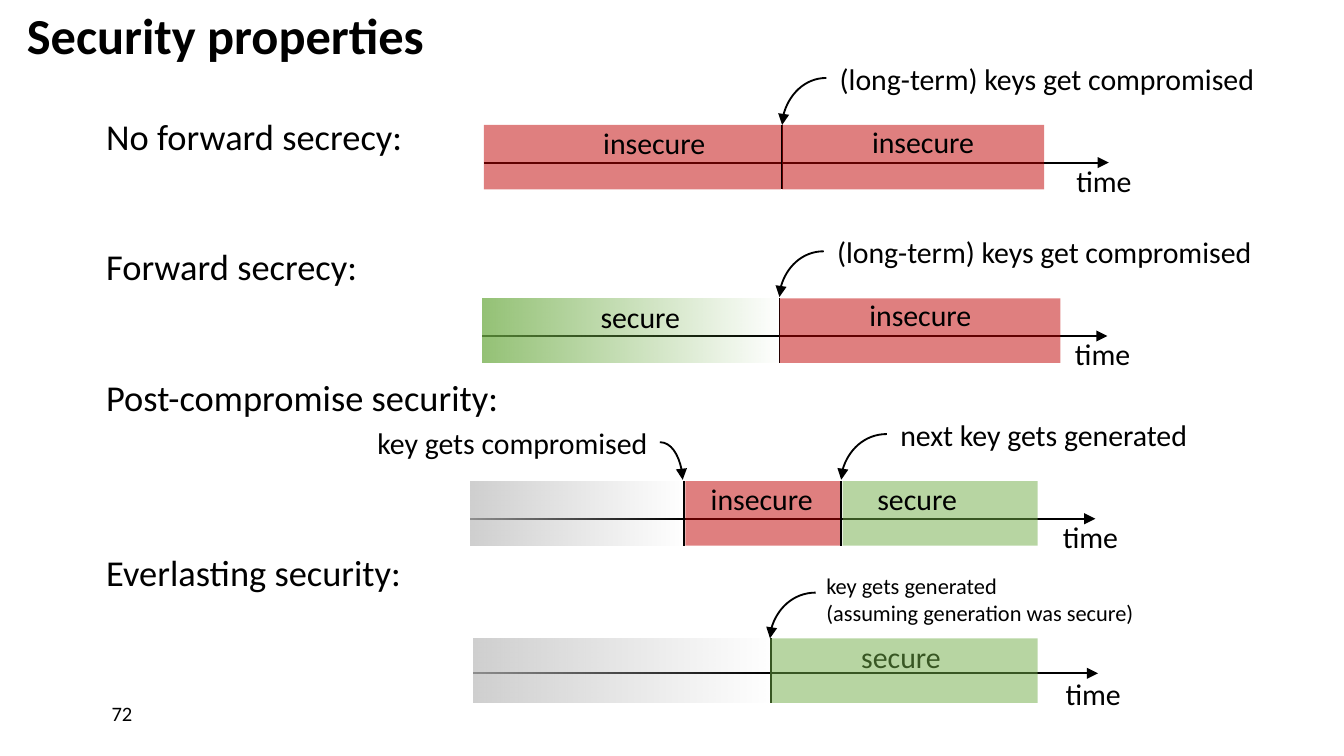
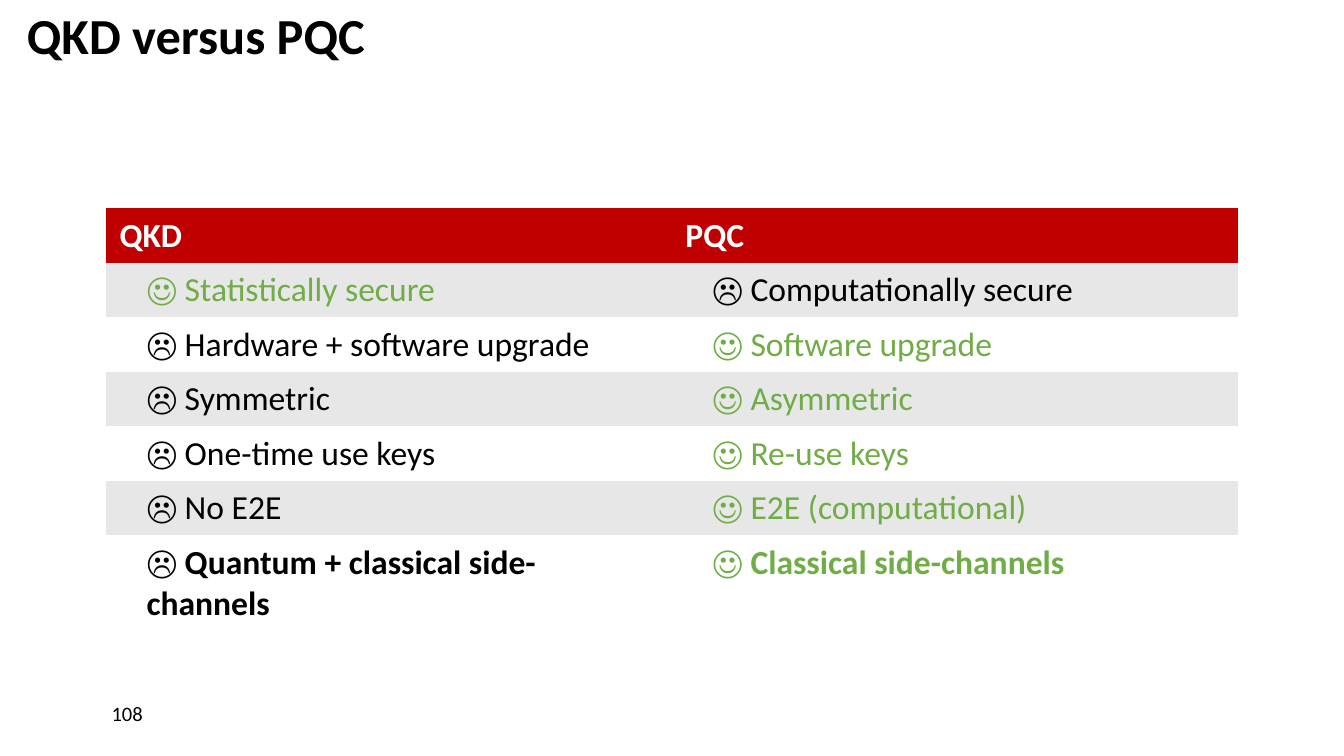
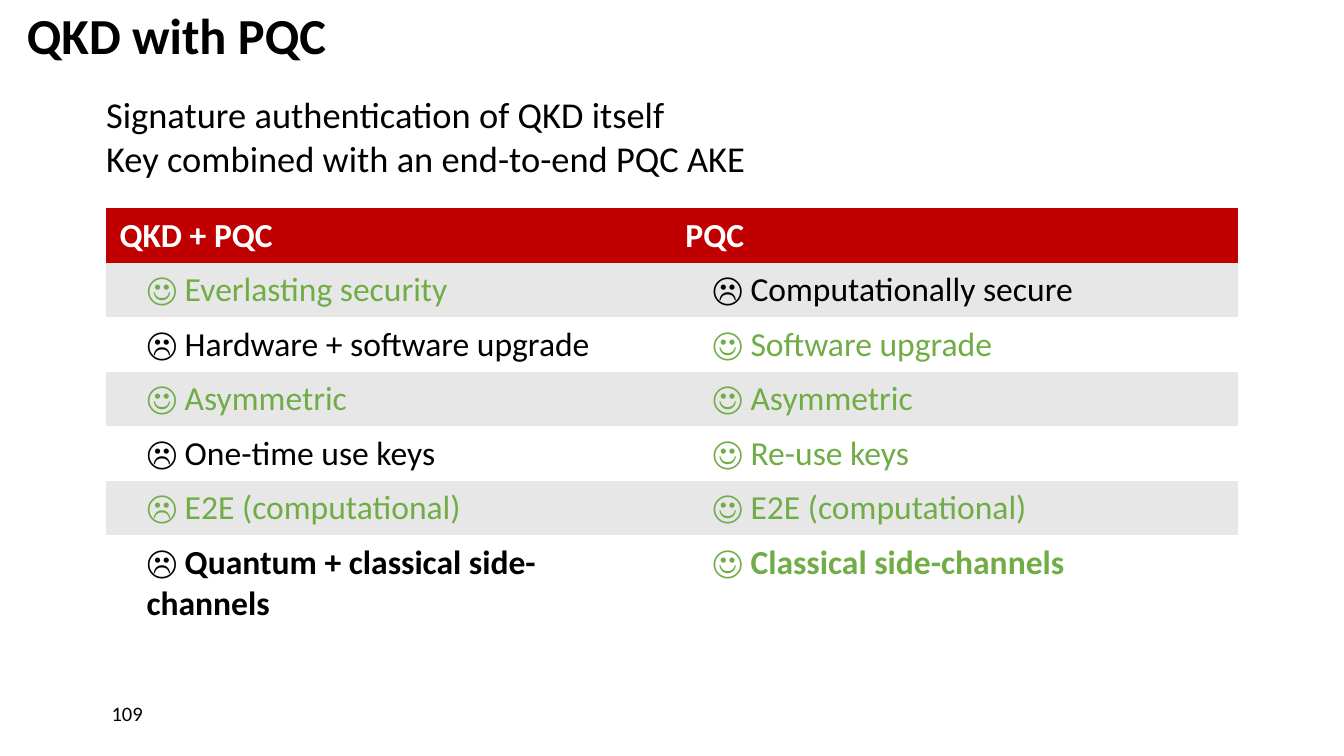
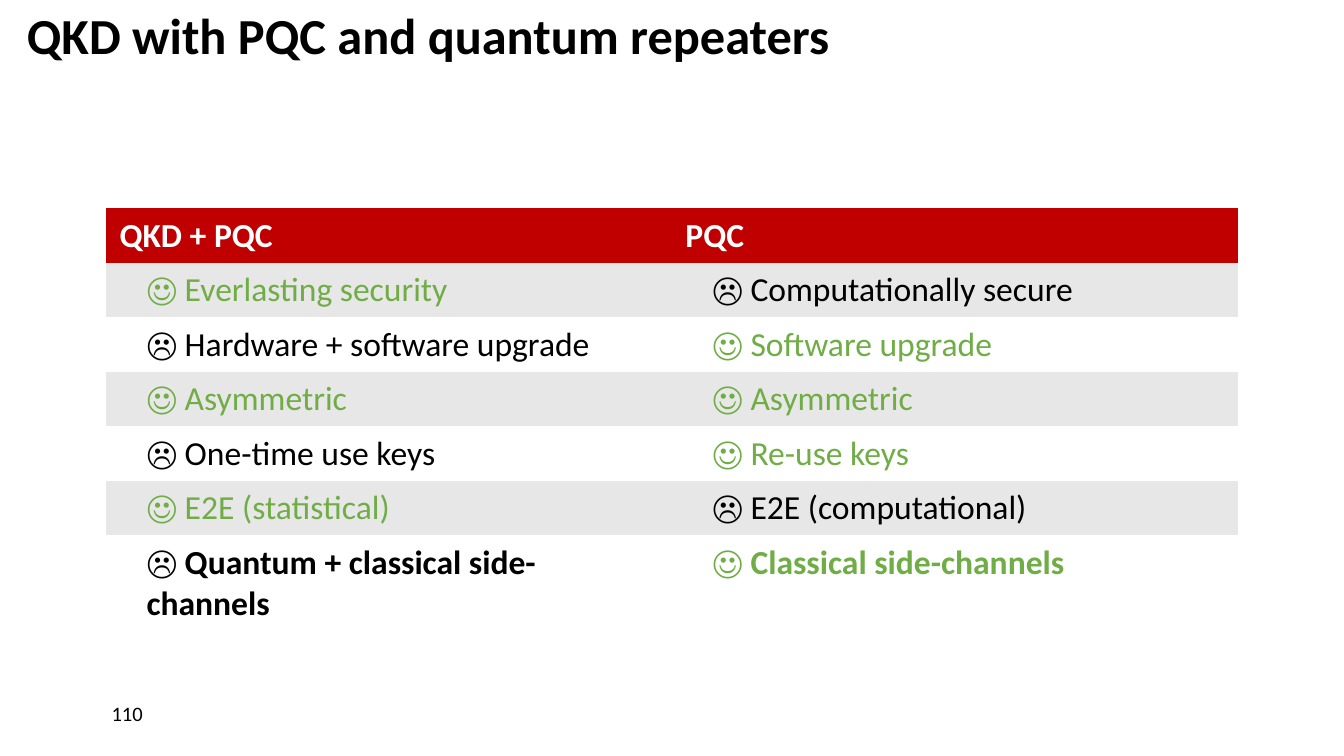
from pptx import Presentation
from pptx.dml.color import RGBColor
from pptx.enum.shapes import MSO_CONNECTOR, MSO_SHAPE
from pptx.enum.text import MSO_ANCHOR, MSO_AUTO_SIZE, PP_ALIGN
from pptx.oxml.ns import qn
from pptx.util import Inches, Pt
from lxml import etree

STRAIGHT, CURVE = MSO_CONNECTOR.STRAIGHT, MSO_CONNECTOR.CURVE
RECTANGLE = MSO_SHAPE.RECTANGLE
MIDDLE, LEFT = MSO_ANCHOR.MIDDLE, PP_ALIGN.LEFT
NO_FIT, GROW = MSO_AUTO_SIZE.NONE, MSO_AUTO_SIZE.SHAPE_TO_FIT_TEXT

FONT = "Calibri"
COLORS = {name: RGBColor.from_string(value) for name, value in {
    "black": "000000", "white": "FFFFFF", "red": "C00000",
    "green": "70AD47", "gray": "BFBFBF", "stripe": "E7E7E7",
}.items()}
PLAIN_TABLE_STYLE = "{2D5ABB26-0587-4C30-8999-92F81FD0307C}"


def write(frame, text, size, color="black", bold=False, insets=None):
    """Fill a text frame or cell frame; insets are left, top, right, bottom."""
    frame.text = text
    if insets:
        (frame.margin_left, frame.margin_top,
         frame.margin_right, frame.margin_bottom) = map(Inches, insets)
    for para in frame.paragraphs:
        para.alignment = LEFT
        para.font.size = Pt(size)
        for span in para.runs:
            span.font.name = FONT
            span.font.size = Pt(size)
            span.font.bold = bold
            span.font.color.rgb = COLORS[color]


def add_line(page, points, kind=STRAIGHT, arrow=False):
    line = page.shapes.add_connector(kind, *map(Inches, points))
    line.line.color.rgb = COLORS["black"]
    line.line.width = Pt(1)
    properties = line._element.spPr
    if kind == CURVE:
        properties.find(qn("a:prstGeom")).set("prst", "curvedConnector2")
    if arrow:
        etree.SubElement(properties.find(qn("a:ln")), qn("a:tailEnd"), type="triangle")
    etree.SubElement(properties, qn("a:effectLst"))


deck = Presentation()
deck.slide_width, deck.slide_height = Inches(10), Inches(10 * 9 / 16)

# Title and page number of every slide
pages = []
for title_text, number in [
    ("Security properties", "72"),
    ("QKD versus PQC", "108"),
    ("QKD with PQC", "109"),
    ("QKD with PQC and quantum repeaters", "110"),
]:
    page = deck.slides.add_slide(deck.slide_layouts[5])
    pages.append(page)
    title = page.shapes.title
    title.left, title.top = Inches(0), Inches(0)
    title.width, title.height = Inches(10), Inches(0.59)
    title.text_frame.auto_size = NO_FIT
    title.text_frame.vertical_anchor = MIDDLE
    write(title.text_frame, title_text, 27, bold=True, insets=(0.2, 0, 0, 0))
    title.text_frame.paragraphs[0].line_spacing = Pt(27)

    footer = page.shapes.add_shape(RECTANGLE, Inches(0), Inches(5), Inches(8.92), Inches(0.62))
    footer.shadow.inherit = False
    footer.fill.solid()
    footer.fill.fore_color.rgb = COLORS["white"]
    footer.line.fill.background()
    footer.text_frame.vertical_anchor = MIDDLE
    write(footer.text_frame, number, 11, insets=(0.83, 0, 0, 0))

# Security properties: headings with a timeline each
page = pages[0]
headings = page.shapes.add_textbox(Inches(0), Inches(0.59), Inches(10), Inches(4.4))
headings.text_frame.word_wrap = True
write(headings.text_frame,
      "No forward secrecy:\nForward secrecy:\nPost-compromise security:\nEverlasting security:",
      19.5, insets=(0.79, 0.26, 0.39, 0))
for para, gap in zip(headings.text_frame.paragraphs, (0, 46.4, 46.7, 70.2)):
    para.space_before = Pt(gap)

AXIS_LENGTH = 4.65
BAND_HEIGHT = 0.48
# bands: left, width, color, fading; labels: text, left, top, width
timelines = [
    {"left": 3.6, "band_top": 0.93, "axis_y": 1.21, "ticks": [5.82],
     "bands": [(3.6, 2.21, "red", False), (5.82, 1.95, "red", False)],
     "labels": [("insecure", 4.39, 0.88, 0.97), ("insecure", 6.39, 0.87, 0.97),
                ("(long-term) keys get compromised", 6.15, 0.4, 3.33)],
     "curves": [(6.15, 0.58, 5.82, 0.93)]},
    {"left": 3.59, "band_top": 2.22, "axis_y": 2.5, "ticks": [5.8],
     "bands": [(3.59, 2.21, "green", True), (5.8, 2.09, "red", False)],
     "labels": [("secure", 4.37, 2.17, 0.8), ("insecure", 6.37, 2.16, 0.97),
                ("(long-term) keys get compromised", 6.13, 1.69, 3.33)],
     "curves": [(6.13, 1.87, 5.8, 2.21)]},
    {"left": 3.5, "band_top": 3.58, "axis_y": 3.86, "ticks": [5.09, 6.26],
     "bands": [(3.5, 1.58, "gray", True), (5.1, 1.15, "red", False),
               (6.27, 1.45, "green", False)],
     "labels": [("insecure", 5.19, 3.53, 0.97), ("secure", 6.43, 3.53, 0.8),
                ("key gets compromised", 2.71, 3.11, 2.22),
                ("next key gets generated", 6.6, 3.05, 2.48)],
     "curves": [(4.91, 3.29, 5.08, 3.57), (6.6, 3.23, 6.26, 3.57)]},
    {"left": 3.52, "band_top": 4.75, "axis_y": 5.01, "ticks": [5.74],
     "bands": [(3.52, 2.21, "gray", True), (5.73, 1.99, "green", False)],
     "labels": [("secure", 6.31, 4.7, 0.8)],
     "curves": [(6.07, 4.41, 5.73, 4.75)]},
]
for timeline in timelines:
    left, band_top = timeline["left"], timeline["band_top"]
    axis_y = timeline["axis_y"]
    add_line(page, (left, axis_y, left + AXIS_LENGTH, axis_y), arrow=True)
    for x in timeline["ticks"]:
        add_line(page, (x, band_top, x, band_top + BAND_HEIGHT))
    for points in timeline["curves"]:
        add_line(page, points, CURVE, arrow=True)

    bands = []
    for band_left, width, color, fading in timeline["bands"]:
        band = page.shapes.add_shape(RECTANGLE, Inches(band_left), Inches(band_top),
                                     Inches(width), Inches(BAND_HEIGHT))
        bands.append(band)
        band.shadow.inherit = False
        if fading:
            band.fill.gradient()
            band.fill.gradient_angle = 180
            for stop in band.fill.gradient_stops:
                stop.color.rgb = COLORS[color]
        else:
            band.fill.solid()
            band.fill.fore_color.rgb = COLORS[color]
        opacities = ("0", "75000") if fading else ("50000",)
        for tint, opacity in zip(band._element.spPr.iter(qn("a:srgbClr")), opacities):
            etree.SubElement(tint, qn("a:alpha"), val=opacity)
        band.line.fill.background()

    time_label = ("time", left + 4.31, band_top + 0.23, 0.62)
    for text, label_left, top, width in timeline["labels"] + [time_label]:
        box = page.shapes.add_textbox(Inches(label_left), Inches(top), Inches(width), Inches(0.37))
        box.text_frame.word_wrap = False
        box.text_frame.auto_size = GROW
        write(box.text_frame, text, 16)

# The bands of the last timeline tint its label
for band in bands:
    page.shapes._spTree.append(band._element)

note = page.shapes.add_textbox(Inches(6.05), Inches(4.21), Inches(2.87), Inches(0.5))
note.text_frame.word_wrap = True
note.text_frame.auto_size = GROW
write(note.text_frame, "key gets generated\v(assuming generation was secure)", 12)

# Comparison tables
qkd = ["QKD", "☺ Statistically secure", "☹ Hardware + software upgrade", "☹ Symmetric",
       "☹ One-time use keys", "☹ No E2E", "☹ Quantum + classical side-channels"]
pqc = ["PQC", "☹ Computationally secure", "☺ Software upgrade", "☺ Asymmetric",
       "☺ Re-use keys", "☺ E2E (computational)", "☺ Classical side-channels"]
combined = ["QKD + PQC", "☺ Everlasting security", qkd[2], "☺ Asymmetric",
            qkd[4], "☹ E2E (computational)", qkd[6]]
repeaters = combined[:5] + ["☺ E2E (statistical)", qkd[6]]
pqc_against_repeaters = pqc[:5] + ["☹ E2E (computational)", pqc[6]]

# The last item lists cells that are green despite the frown
comparisons = [(qkd, pqc, []), (combined, pqc, [(5, 0)]), (repeaters, pqc_against_repeaters, [])]
for page, (first, second, extra_green) in zip(pages[1:], comparisons):
    table = page.shapes.add_table(7, 2, Inches(0.79), Inches(1.55),
                                  Inches(8.42), Inches(7 * 0.37)).table
    table._tbl.tblPr.find(qn("a:tableStyleId")).text = PLAIN_TABLE_STYLE
    table.horz_banding = False
    for row, texts in enumerate(zip(first, second)):
        table.rows[row].height = Inches(0.37)
        for column, text in enumerate(texts):
            cell = table.cell(row, column)
            if row == 0:
                fill, color = "red", "white"
            else:
                fill = "stripe" if row % 2 else "white"
                is_green = text.startswith("☺") or (row, column) in extra_green
                color = "green" if is_green else "black"
            cell.fill.solid()
            cell.fill.fore_color.rgb = COLORS[fill]
            write(cell.text_frame, text, 18, color, bold=row in (0, 6))
            if row:
                indent = cell.text_frame.paragraphs[0]._p.get_or_add_pPr()
                indent.set("marL", str(Inches(0.2)))
                indent.set("indent", "0")

# Introduction above the table of "QKD with PQC"
intro = pages[2].shapes.add_textbox(Inches(0), Inches(0.61), Inches(10), Inches(0.8))
intro.text_frame.word_wrap = True
intro.text_frame.vertical_anchor = MIDDLE
write(intro.text_frame,
      "Signature authentication of QKD itself\vKey combined with an end-to-end PQC AKE",
      19.5, insets=(0.79, 0, 0.39, 0))

deck.save("out.pptx")
